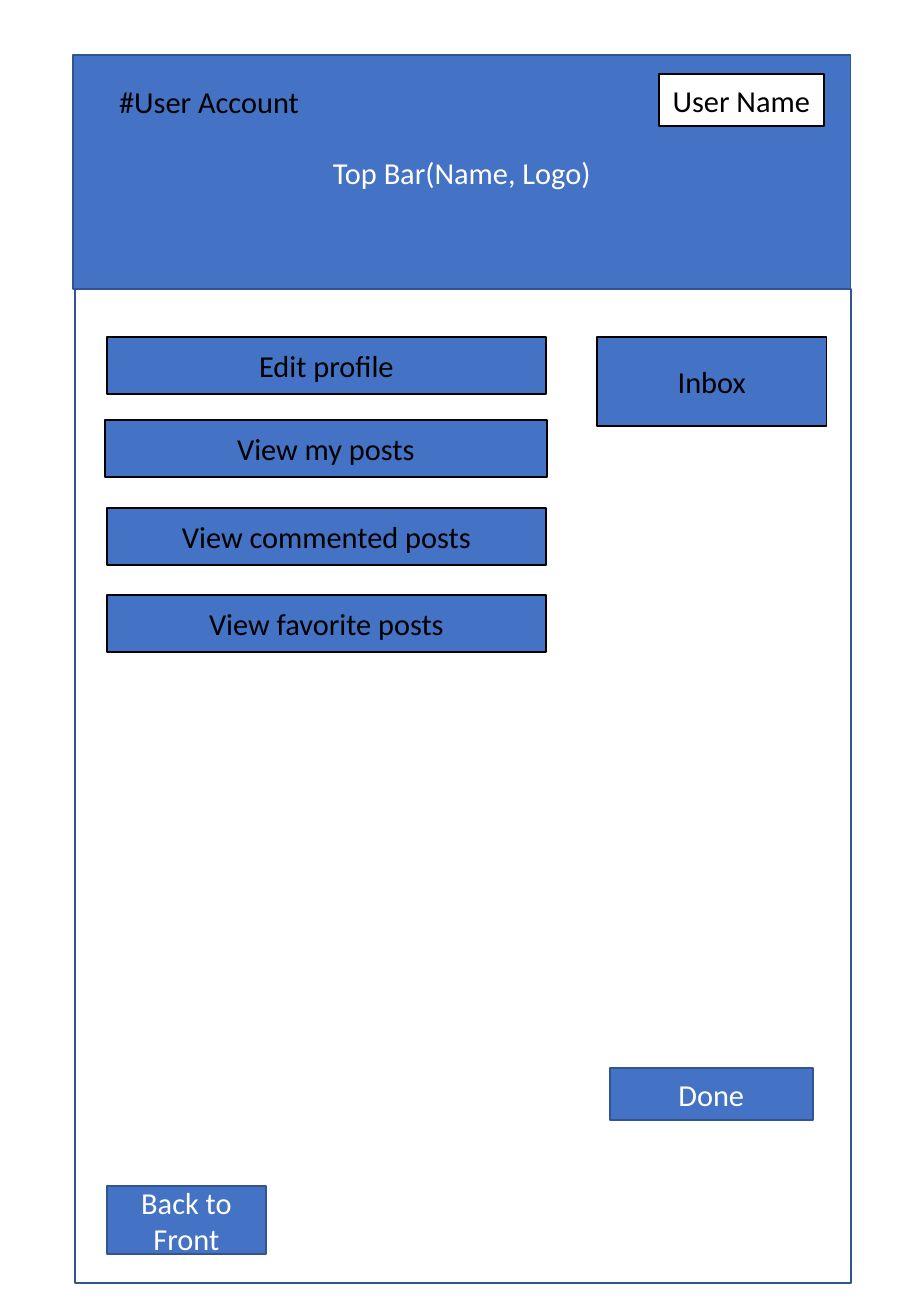
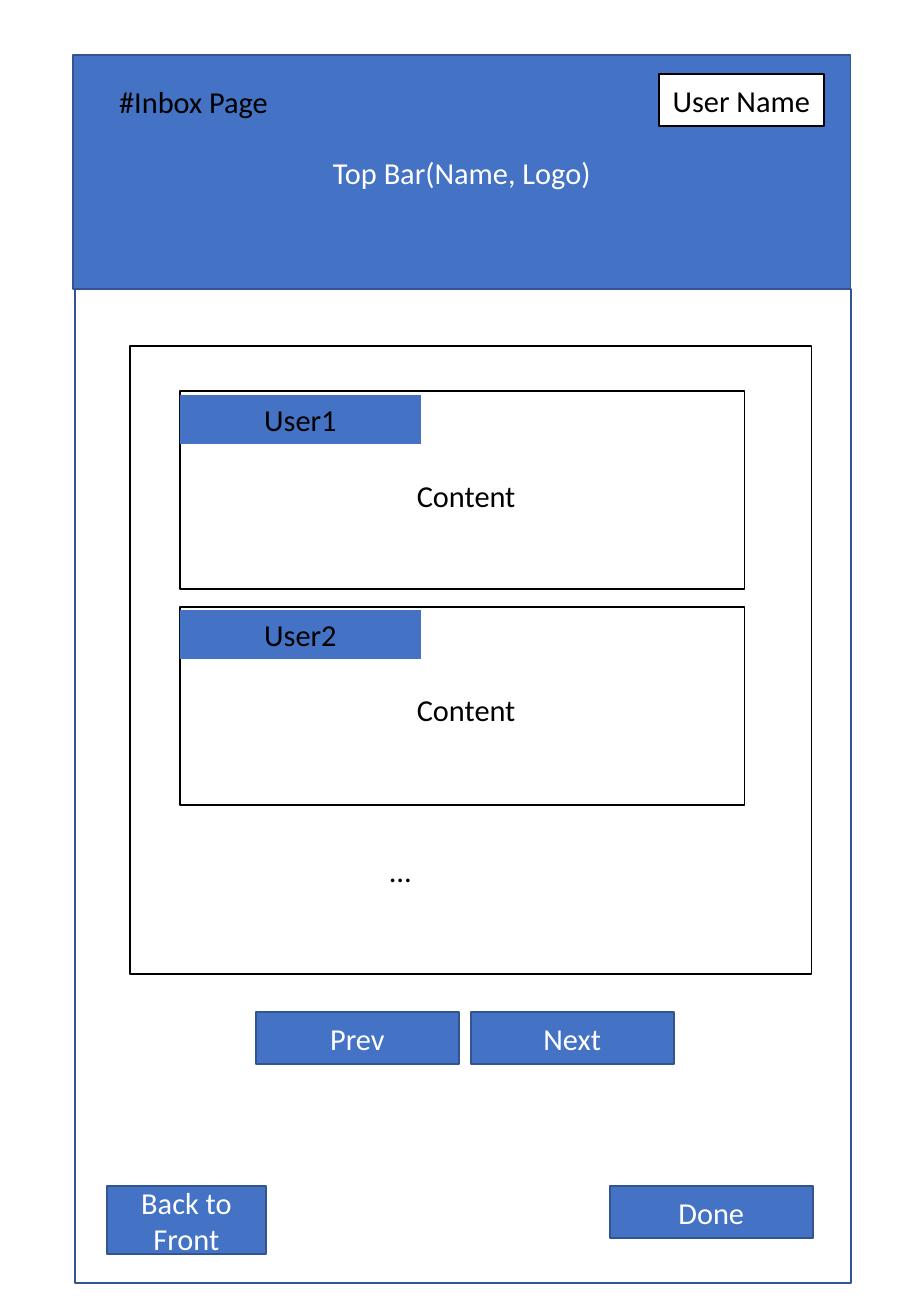
"""Build two wireframe slides: the user account page and the inbox page."""
from pptx import Presentation
from pptx.dml.color import RGBColor
from pptx.enum.shapes import MSO_SHAPE
from pptx.enum.text import MSO_ANCHOR, MSO_AUTO_SIZE, PP_ALIGN
from pptx.util import Inches, Pt

PIXEL = 914400 / 121.5
BLUE, EDGE, BLACK, WHITE = "4472C4", "325491", "000000", "FFFFFF"
BUTTON_WIDTH, BUTTON_HEIGHT = 203, 52
TEXT_HEIGHT = 49


def write(shape, text, color, align, anchor):
    frame = shape.text_frame
    frame.word_wrap = True
    frame.vertical_anchor = anchor
    frame.text = text
    paragraph = frame.paragraphs[0]
    paragraph.alignment = align
    paragraph.font.name = "Calibri"
    paragraph.font.size = Pt(18)
    paragraph.font.bold = False
    paragraph.font.color.rgb = RGBColor.from_string(color)


def add_box(slide, box, text="", fill=BLUE, line=EDGE, color=WHITE,
            weight=1, align=PP_ALIGN.CENTER, anchor=MSO_ANCHOR.MIDDLE):
    shape = slide.shapes.add_shape(
        MSO_SHAPE.RECTANGLE, *[round(length * PIXEL) for length in box])
    shape.shadow.inherit = False
    if fill:
        shape.fill.solid()
        shape.fill.fore_color.rgb = RGBColor.from_string(fill)
    else:
        shape.fill.background()
    if line:
        shape.line.color.rgb = RGBColor.from_string(line)
        shape.line.width = Pt(weight)
    else:
        shape.line.fill.background()
    if text:
        write(shape, text, color, align, anchor)


presentation = Presentation()
presentation.slide_width = Inches(7.5)
presentation.slide_height = Inches(10.83)
title_only = presentation.slide_layouts[5]

pages = []
for heading, heading_width, done_top in [("#User Account", 207, 1068),
                                         ("#Inbox Page", 175, 1186)]:
    slide = presentation.slides.add_slide(title_only)
    add_box(slide, (73, 55, 778, 234), "Top Bar(Name, Logo)")
    add_box(slide, (75, 289, 776, 994), fill=None)
    title = slide.shapes.title
    title.left, title.top, title.width, title.height = [
        round(length * PIXEL) for length in (107, 77, heading_width, TEXT_HEIGHT)]
    write(title, heading, BLACK, PP_ALIGN.LEFT, MSO_ANCHOR.TOP)
    title.text_frame.word_wrap = False
    title.text_frame.auto_size = MSO_AUTO_SIZE.SHAPE_TO_FIT_TEXT
    title.element.getparent().append(title.element)
    add_box(slide, (107, 1186, 159, 68), "Back to Front")
    add_box(slide, (659, 74, 165, BUTTON_HEIGHT), "User Name",
            fill=WHITE, line=BLACK, color=BLACK)
    add_box(slide, (610, done_top, BUTTON_WIDTH, BUTTON_HEIGHT), "Done")
    pages.append(slide)
account, inbox = pages

for label, box in [
    ("Edit profile", (107, 337, 439, 57)),
    ("View my posts", (105, 420, 442, 57)),
    ("View commented posts", (107, 508, 439, 57)),
    ("View favorite posts", (107, 595, 439, 57)),
    ("Inbox", (597, 337, 230, 89)),
]:
    add_box(account, box, label, line=BLACK, color=BLACK)

plain_text = dict(fill=None, line=None, color=BLACK,
                  align=PP_ALIGN.LEFT, anchor=MSO_ANCHOR.TOP)
outline = dict(fill=None, line=BLACK, weight=0.75)
add_box(inbox, (130, 346, 682, 628), **outline)
for user, card_top, tag_top, content_top in [("User1", 391, 395, 471),
                                             ("User2", 607, 610, 685)]:
    add_box(inbox, (180, card_top, 565, 198), **outline)
    add_box(inbox, (180, tag_top, 241, TEXT_HEIGHT), user,
            line=None, color=BLACK, anchor=MSO_ANCHOR.TOP)
    add_box(inbox, (405, content_top, 225, TEXT_HEIGHT), "Content", **plain_text)
add_box(inbox, (378, 846, 162, TEXT_HEIGHT), "…", **plain_text)

for label, left in [("Prev", 256), ("Next", 471)]:
    add_box(inbox, (left, 1012, BUTTON_WIDTH, BUTTON_HEIGHT), label)

presentation.save("out.pptx")
